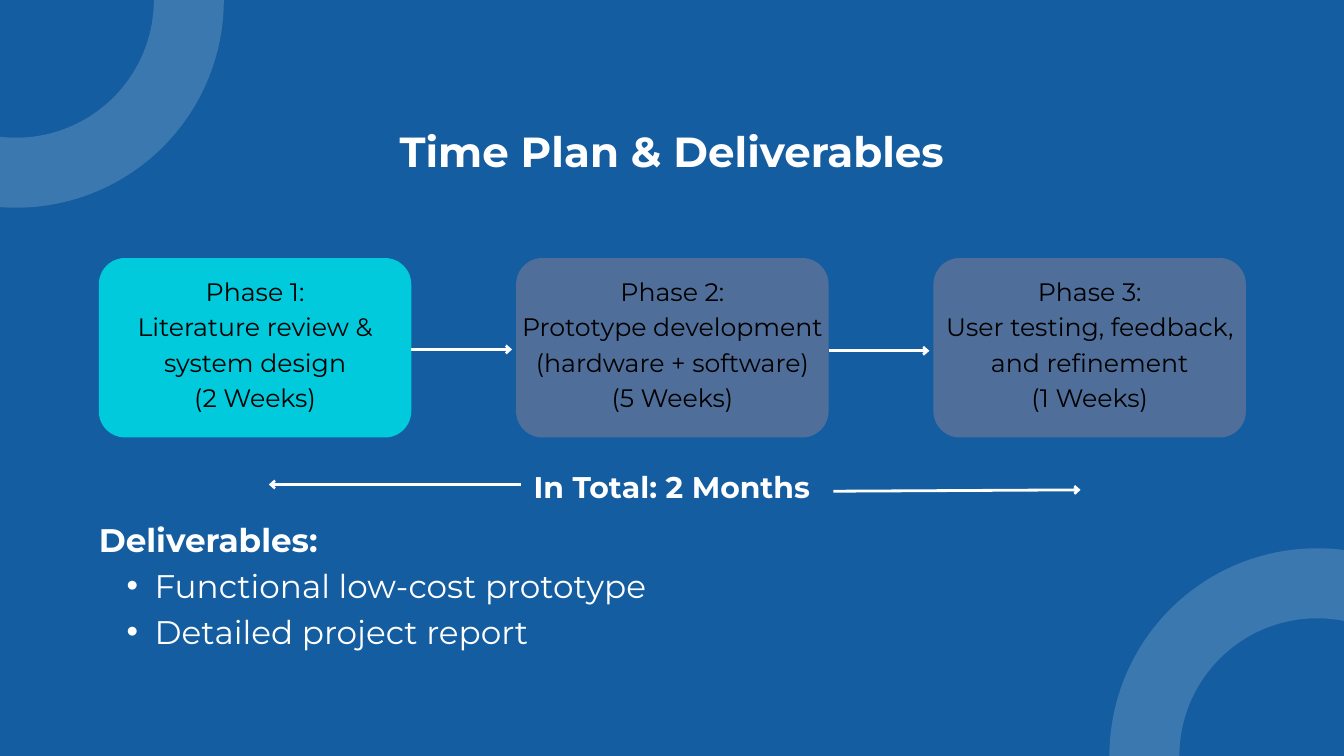
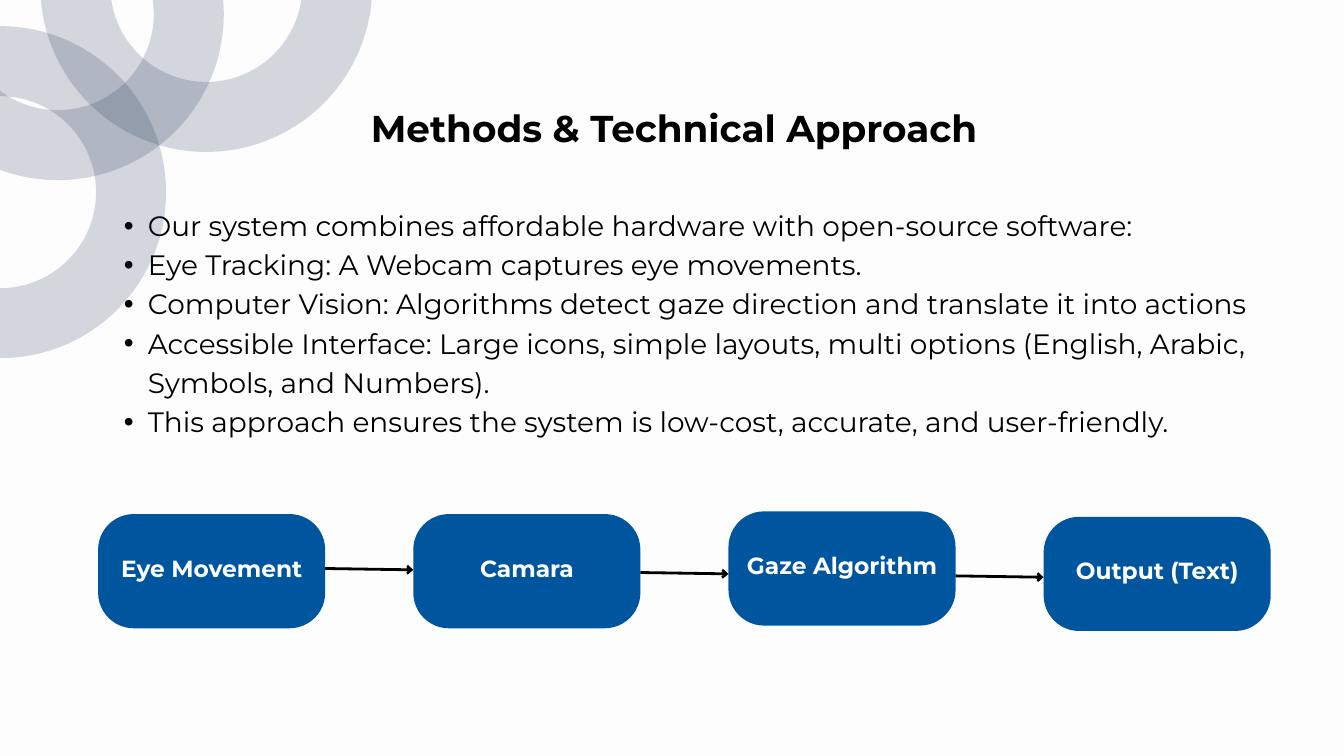
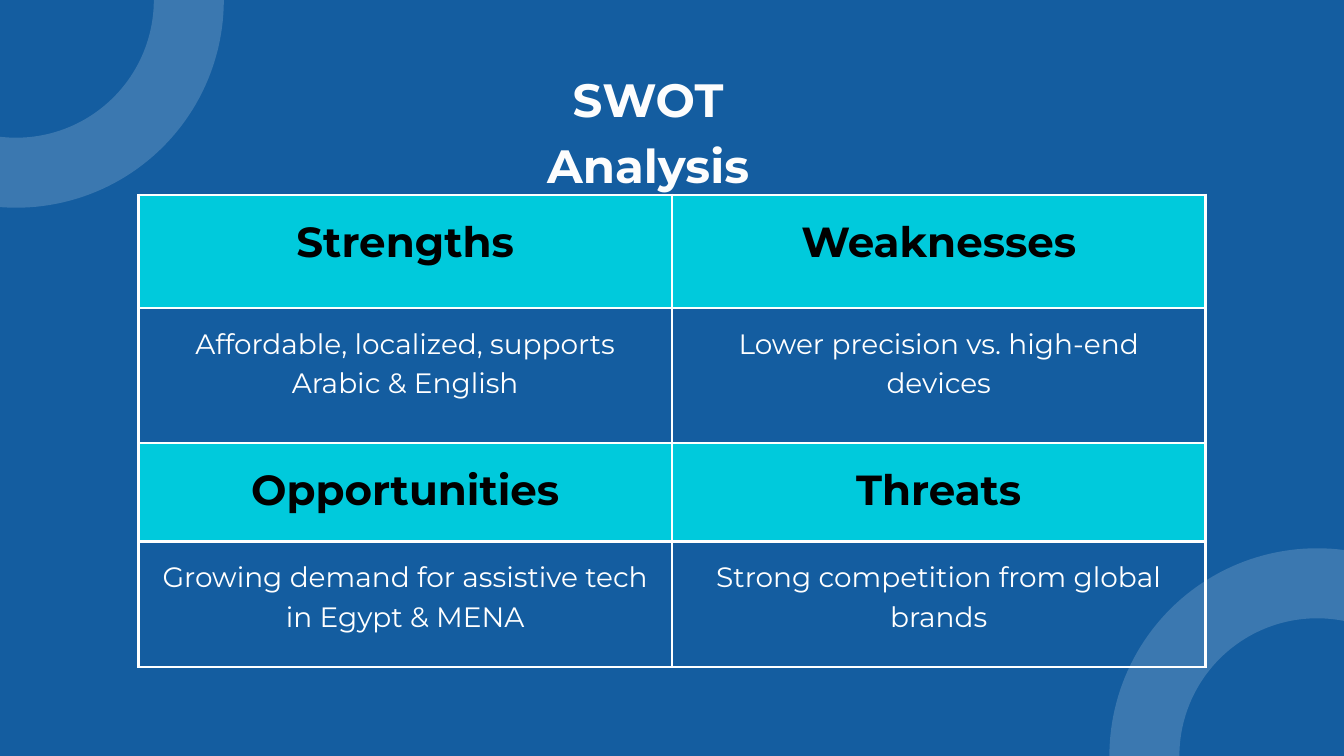
from dataclasses import dataclass

from lxml.etree import SubElement
from pptx import Presentation
from pptx.dml.color import RGBColor
from pptx.enum.shapes import MSO_CONNECTOR, MSO_SHAPE
from pptx.enum.text import MSO_ANCHOR, MSO_AUTO_SIZE, PP_ALIGN
from pptx.oxml.ns import qn
from pptx.slide import Slide
from pptx.text.text import TextFrame
from pptx.util import Inches, Pt

# Shared look
FONT = "Montserrat"
BLUE = RGBColor(0x14, 0x5D, 0xA0)
STEP_BLUE = RGBColor(0x00, 0x56, 0x9E)
CYAN = RGBColor(0x00, 0xCA, 0xDC)
SLATE = RGBColor(0x50, 0x6E, 0x9A)
NAVY = RGBColor(0x05, 0x1D, 0x40)
OFF_WHITE = RGBColor(0xFD, 0xFD, 0xFD)
WHITE = RGBColor(0xFF, 0xFF, 0xFF)
BLACK = RGBColor(0x00, 0x00, 0x00)
LINE_FACTOR = 1.4
RING_OPACITY = 16000
TITLE_LAYOUT, TITLE_ONLY_LAYOUT = 1, 5


@dataclass(frozen=True)
class Box:
    left: float
    top: float
    width: float
    height: float

    def lengths(self) -> tuple:
        return tuple(Inches(n) for n in (self.left, self.top, self.width, self.height))


@dataclass(frozen=True)
class TextStyle:
    size: float
    color: RGBColor
    bold: bool = False
    align: PP_ALIGN = PP_ALIGN.CENTER
    line_height: float = 0
    bullet_indent: float = 0


@dataclass(frozen=True)
class Ring:
    center_x: float
    center_y: float
    radius: float
    color: RGBColor


@dataclass(frozen=True)
class Card:
    box: Box
    radius: float
    fill: RGBColor
    lines: tuple
    style: TextStyle


@dataclass(frozen=True)
class Arrow:
    start_x: float
    start_y: float
    end_x: float
    end_y: float
    color: RGBColor


BLUE_SLIDE_RINGS = (Ring(0.24, 0, 2.57, WHITE), Ring(19.6, 11.25, 2.57, WHITE))
LIGHT_SLIDE_RINGS = (
    Ring(0.86, 0.21, 1.95, NAVY),
    Ring(3.07, -0.21, 1.95, NAVY),
    Ring(0, 2.86, 1.95, NAVY),
)


# Text
def write_lines(frame: TextFrame, lines: list, inset: float = 0) -> None:
    """Fill a frame with (text, style) pairs, one paragraph each."""
    frame.word_wrap = True
    frame.auto_size = MSO_AUTO_SIZE.NONE
    frame.margin_left = frame.margin_right = Inches(inset)
    frame.margin_top = frame.margin_bottom = Inches(inset)
    for index, (text, style) in enumerate(lines):
        paragraph = frame.paragraphs[0] if index == 0 else frame.add_paragraph()
        paragraph.alignment = style.align
        paragraph.line_spacing = Pt(style.line_height or style.size * LINE_FACTOR)
        paragraph.space_before = paragraph.space_after = Pt(0)
        set_bullet(paragraph, style.bullet_indent)
        run = paragraph.add_run()
        run.text = text
        run.font.name = FONT
        run.font.size = Pt(style.size)
        run.font.bold = style.bold
        run.font.color.rgb = style.color


def set_bullet(paragraph, indent: float) -> None:
    properties = paragraph._p.get_or_add_pPr()
    properties.set("marL", str(Inches(indent)))
    properties.set("indent", str(-Inches(indent / 2)))
    if indent:
        SubElement(properties, qn("a:buChar")).set("char", "•")
    else:
        SubElement(properties, qn("a:buNone"))


def fill_placeholder(placeholder, box: Box, lines: list) -> None:
    (placeholder.left, placeholder.top,
     placeholder.width, placeholder.height) = box.lengths()
    placeholder.text_frame.vertical_anchor = MSO_ANCHOR.TOP
    write_lines(placeholder.text_frame, lines)


def add_text(slide: Slide, box: Box, lines: list, inset: float,
             anchor: MSO_ANCHOR = MSO_ANCHOR.TOP) -> None:
    frame = slide.shapes.add_textbox(*box.lengths()).text_frame
    frame.vertical_anchor = anchor
    write_lines(frame, lines, inset)


# Shapes
def add_ring(slide: Slide, ring: Ring) -> None:
    diameter = 2 * ring.radius
    box = Box(ring.center_x - ring.radius, ring.center_y - ring.radius,
              diameter, diameter)
    shape = slide.shapes.add_shape(MSO_SHAPE.OVAL, *box.lengths())
    shape.shadow.inherit = False
    shape.fill.background()
    shape.line.width = Pt(75)
    shape.line.color.rgb = ring.color
    color = shape.element.spPr.find(qn("a:ln")).find(".//" + qn("a:srgbClr"))
    SubElement(color, qn("a:alpha")).set("val", str(RING_OPACITY))


def add_card(slide: Slide, card: Card) -> None:
    box = card.box
    shape = slide.shapes.add_shape(MSO_SHAPE.ROUNDED_RECTANGLE, *box.lengths())
    shape.shadow.inherit = False
    shape.adjustments[0] = card.radius / min(box.width, box.height)
    shape.fill.solid()
    shape.fill.fore_color.rgb = card.fill
    shape.line.fill.background()
    # The label area starts a little above the card
    rise = 0.17
    label_box = Box(box.left, box.top - rise, box.width, box.height + rise)
    add_text(slide, label_box, [(line, card.style) for line in card.lines],
             0.06, MSO_ANCHOR.MIDDLE)


def add_arrow(slide: Slide, arrow: Arrow) -> None:
    ends = (arrow.start_x, arrow.start_y, arrow.end_x, arrow.end_y)
    connector = slide.shapes.add_connector(
        MSO_CONNECTOR.STRAIGHT, *(Inches(end) for end in ends))
    connector.line.width = Pt(3)
    connector.line.color.rgb = arrow.color
    properties = connector.element.spPr
    head = SubElement(properties.find(qn("a:ln")), qn("a:tailEnd"))
    head.set("type", "arrow")
    head.set("w", "med")
    head.set("len", "sm")
    SubElement(properties, qn("a:effectLst"))


def set_cell_borders(cell, color: RGBColor) -> None:
    properties = cell._tc.get_or_add_tcPr()
    for side in ("a:lnL", "a:lnR", "a:lnT", "a:lnB"):
        border = SubElement(properties, qn(side))
        border.set("w", str(Pt(3)))
        fill = SubElement(border, qn("a:solidFill"))
        SubElement(fill, qn("a:srgbClr")).set("val", str(color))


# Slides
def start_slide(presentation, layout: int, background: RGBColor, rings: tuple,
                title: str, title_box: Box, title_style: TextStyle) -> Slide:
    slide = presentation.slides.add_slide(presentation.slide_layouts[layout])
    slide.background.fill.solid()
    slide.background.fill.fore_color.rgb = background
    fill_placeholder(slide.shapes.title, title_box, [(title, title_style)])
    for ring in rings:
        add_ring(slide, ring)
    return slide


def build_time_plan(presentation) -> None:
    slide = start_slide(presentation, TITLE_LAYOUT, BLUE, BLUE_SLIDE_RINGS,
                        "Time Plan & Deliverables", Box(5.94, 1.74, 8.11, 0.82),
                        TextStyle(45, WHITE, bold=True))
    # Phases
    phases = (
        (CYAN, ("Phase 1:", "Literature review & system design", "(2 Weeks)")),
        (SLATE, ("Phase 2:", "Prototype development (hardware + software)",
                 "(5 Weeks)")),
        (SLATE, ("Phase 3:", "User testing, feedback, and refinement",
                 "(1 Weeks)")),
    )
    left, pitch, width = 1.47, 6.21, 4.65
    for index, (fill, lines) in enumerate(phases):
        box = Box(left + index * pitch, 3.84, width, 2.67)
        add_card(slide, Card(box, 0.39, fill, lines, TextStyle(27, BLACK)))
    for index, y in enumerate((5.2, 5.22)):
        start = left + index * pitch + width
        add_arrow(slide, Arrow(start, y, start + 1.5, y, WHITE))
    # Total duration
    add_text(slide, Box(7.58, 6.77, 4.84, 0.62),
             [("In Total: 2 Months", TextStyle(32, WHITE, True, line_height=49))],
             0.05)
    add_arrow(slide, Arrow(7.75, 7.21, 4, 7.21, WHITE))
    add_arrow(slide, Arrow(12.4, 7.31, 16.08, 7.29, WHITE))
    # Deliverables
    heading = TextStyle(35, WHITE, True, PP_ALIGN.JUSTIFY)
    item = TextStyle(35, WHITE, align=PP_ALIGN.JUSTIFY, bullet_indent=0.83)
    fill_placeholder(slide.placeholders[1], Box(1.47, 7.64, 10.93, 2.68), [
        ("Deliverables:", heading),
        ("Functional low-cost prototype", item),
        ("Detailed project report", item),
    ])


def build_methods(presentation) -> None:
    slide = start_slide(presentation, TITLE_LAYOUT, OFF_WHITE, LIGHT_SLIDE_RINGS,
                        "Methods & Technical Approach",
                        Box(1.49, 1.46, 17.08, 0.78),
                        TextStyle(40, BLACK, bold=True))
    # Approach
    item = TextStyle(30, BLACK, align=PP_ALIGN.LEFT, bullet_indent=0.71)
    points = (
        "Our system combines affordable hardware with open-source software:",
        "Eye Tracking: A Webcam captures eye movements.",
        "Computer Vision: Algorithms detect gaze direction and translate it "
        "into actions",
        "Accessible Interface: Large icons, simple layouts, multi options "
        "(English, Arabic, Symbols, and Numbers).",
        "This approach ensures the system is low-cost, accurate, and "
        "user-friendly.",
    )
    fill_placeholder(slide.placeholders[1], Box(1.49, 3.02, 17.08, 4.3),
                     [(point, item) for point in points])
    # Processing steps
    steps = (("Eye Movement", 7.65), ("Camara", 7.65),
             ("Gaze Algorithm", 7.61), ("Output (Text)", 7.69))
    left, pitch, width = 1.46, 4.69, 3.38
    for index, (label, top) in enumerate(steps):
        box = Box(left + index * pitch, top, width, 1.7)
        add_card(slide, Card(box, 0.53, STEP_BLUE, (label,),
                             TextStyle(25, WHITE, bold=True)))
    for index, y in enumerate((8.46, 8.52, 8.57)):
        start = left + index * pitch
        add_arrow(slide, Arrow(start + width, y, start + pitch, y + 0.02, BLACK))


def build_swot(presentation) -> None:
    slide = start_slide(presentation, TITLE_ONLY_LAYOUT, BLUE, BLUE_SLIDE_RINGS,
                        "SWOT Analysis", Box(7.08, 0.92, 5.13, 1.89),
                        TextStyle(50, OFF_WHITE, bold=True))
    # Table with alternating heading and detail rows
    rows = (
        (1.68, ("Strengths", "Weaknesses")),
        (2.01, ("Affordable, localized, supports Arabic & English",
                "Lower precision vs. high-end devices")),
        (1.47, ("Opportunities", "Threats")),
        (1.87, ("Growing demand for assistive tech in Egypt & MENA",
                "Strong competition from global brands")),
    )
    box = Box(2.06, 2.9, 15.88, 7.03)
    table = slide.shapes.add_table(len(rows), 2, *box.lengths()).table
    table.first_row = table.horz_banding = False
    for row_index, (height, texts) in enumerate(rows):
        table.rows[row_index].height = Inches(height)
        is_heading = row_index % 2 == 0
        style = TextStyle(45, BLACK, True) if is_heading else TextStyle(30, WHITE)
        for column_index, text in enumerate(texts):
            cell = table.cell(row_index, column_index)
            write_lines(cell.text_frame, [(text, style)])
            cell.margin_left = cell.margin_right = Inches(0.21)
            cell.margin_top = cell.margin_bottom = Inches(0.21)
            set_cell_borders(cell, WHITE)
            if is_heading:
                cell.fill.solid()
                cell.fill.fore_color.rgb = CYAN
            else:
                cell.fill.background()


def main() -> None:
    presentation = Presentation()
    presentation.slide_width = Inches(20)
    presentation.slide_height = Inches(11.25)
    build_time_plan(presentation)
    build_methods(presentation)
    build_swot(presentation)
    presentation.save("out.pptx")


if __name__ == "__main__":
    main()
